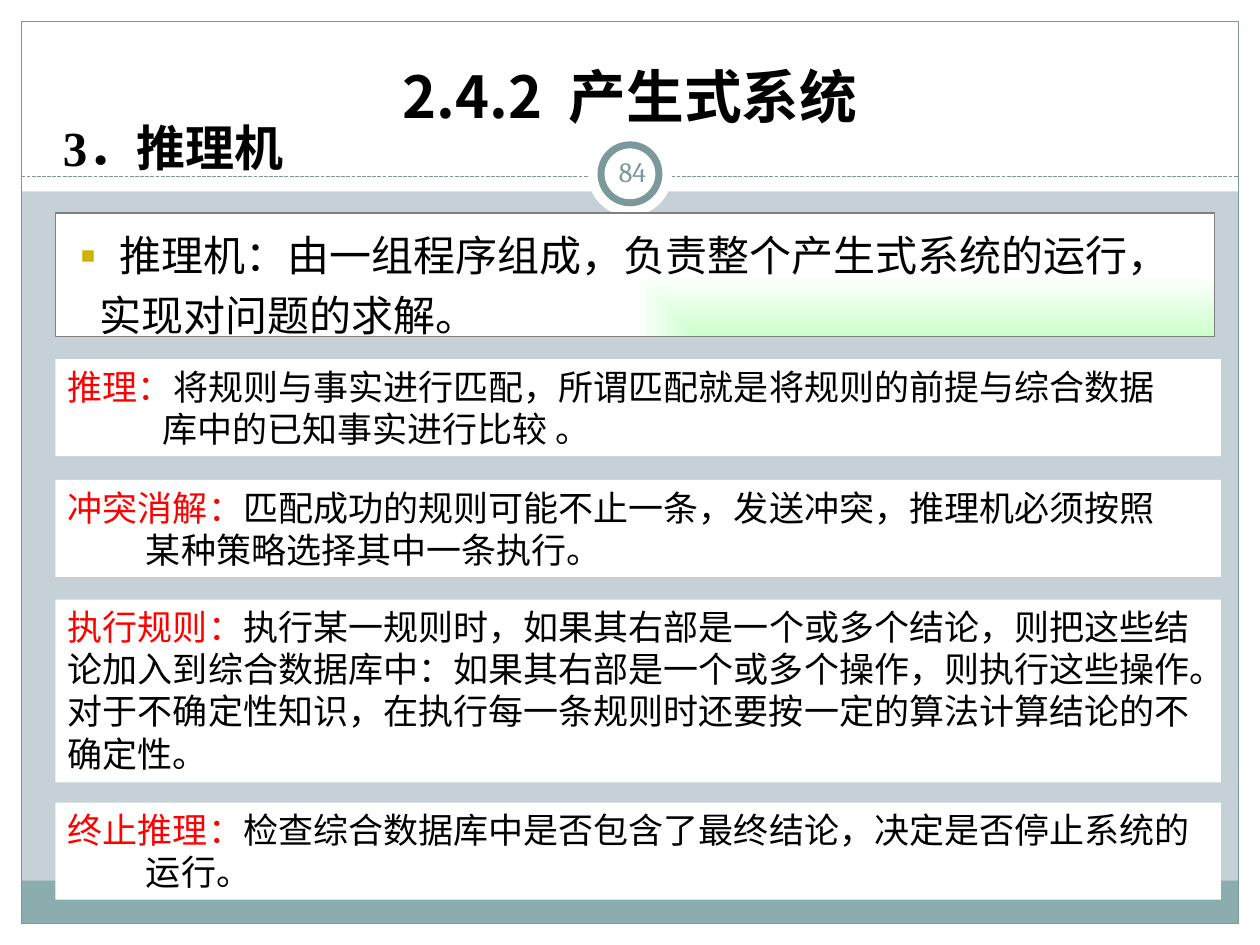
from lxml import etree
from pptx import Presentation
from pptx import util as u
from pptx.dml.color import RGBColor
from pptx.enum import dml, shapes, text
from pptx.oxml import ns

BLACK = RGBColor(0x00, 0x00, 0x00)
WHITE = RGBColor(0xFF, 0xFF, 0xFF)
RED = RGBColor(0xFF, 0x00, 0x00)
GRAY = RGBColor(0x80, 0x80, 0x80)
TEAL = RGBColor(0x7C, 0x99, 0x9A)
FOOTER_TEAL = RGBColor(0x8C, 0xAD, 0xAE)
PALE_BLUE = RGBColor(0xC5, 0xD1, 0xD7)
PALE_GREEN = RGBColor(0xCC, 0xFF, 0xCC)
SANS = "Noto Sans CJK SC"
SERIF = "Times New Roman"
RECTANGLE = shapes.MSO_SHAPE.RECTANGLE
OVAL = shapes.MSO_SHAPE.OVAL


def add_xml(parent, tag, **attributes):
    return etree.SubElement(parent, ns.qn(tag), attributes)


def add_box(slide, box, kind=RECTANGLE, fill=None, line=None, width=0.75):
    shape = slide.shapes.add_shape(kind, *map(u.Inches, box))
    shape.shadow.inherit = False
    if fill is None:
        shape.fill.background()
    else:
        shape.fill.solid()
        shape.fill.fore_color.rgb = fill
    if line is None:
        shape.line.fill.background()
    else:
        shape.line.color.rgb = line
        shape.line.width = u.Pt(width)
    shape.text_frame.vertical_anchor = text.MSO_ANCHOR.TOP
    return shape


def add_run(paragraph, words, size, font, color=BLACK, bold=False):
    run = paragraph.add_run()
    run.text = words
    run.font.size = u.Pt(size)
    run.font.bold = bold
    run.font.color.rgb = color
    run.font.name = font
    add_xml(run.font._element, "a:ea", typeface=SANS)


def set_indent(paragraph, left, first=0):
    properties = paragraph._p.get_or_add_pPr()
    properties.set("marL", str(u.Inches(left)))
    properties.set("indent", str(u.Inches(first)))
    return properties


def add_label(slide, box, words, size, font, color=BLACK, bold=False,
              align=text.PP_ALIGN.CENTER, anchor=text.MSO_ANCHOR.MIDDLE):
    label = slide.shapes.add_textbox(*map(u.Inches, box))
    frame = label.text_frame
    frame.word_wrap = True
    frame.vertical_anchor = anchor
    frame.paragraphs[0].alignment = align
    add_run(frame.paragraphs[0], words, size, font, color, bold)
    return frame


def add_frame(slide, box):
    """White margins, footer band and thin outline around the slide."""
    left, top, width, height = box
    margin = 0.17
    right, bottom = left + width - margin, top + height - margin
    inner = width - 2 * margin
    add_box(slide, (left, bottom, width, margin), fill=WHITE)
    add_box(slide, (left, top, width, 1.52), fill=WHITE)
    for edge in (left, right):
        add_box(slide, (edge, top, margin, height), fill=WHITE)
    add_box(slide, (left + margin, bottom - 0.34, inner, 0.34), fill=FOOTER_TEAL)
    add_box(slide, (left + margin, top + margin, inner, height - 2 * margin), line=TEAL)


def add_header(slide, box):
    """Title, section heading, dashed rule and page number ring."""
    left, top, width, height = box
    rule = top + height
    middle = left + width / 2
    connector = slide.shapes.add_connector(
        shapes.MSO_CONNECTOR.STRAIGHT,
        *map(u.Inches, (left, rule, left + width, rule)))
    connector.line.color.rgb = TEAL
    connector.line.width = u.Pt(0.75)
    connector.line.dash_style = dml.MSO_LINE.SQUARE_DOT
    add_xml(connector._element.spPr, "a:effectLst")

    # Page number ring
    for size, line in ((0.67, None), (0.46, TEAL)):
        ring = (middle - size / 2, rule - 0.02 - size / 2, size, size)
        add_box(slide, ring, OVAL, WHITE, line, 4)
    add_label(slide, (left + 0.16, top + 0.08, width - 0.32, 0.83), "2.4.2  产生式系统",
              33, SANS, bold=True, anchor=text.MSO_ANCHOR.BOTTOM)
    number = add_label(slide, (middle - 0.23, rule - 0.28, 0.5, 0.48), "84",
                       16, "Cambria", TEAL)
    number.margin_left = number.margin_right = u.Inches(0.05)

    # Section heading
    heading = add_label(slide, (left + 0.23, top + 0.67, 2.08, 0.58), "3．推理机",
                        28, SERIF, bold=True, align=text.PP_ALIGN.LEFT,
                        anchor=text.MSO_ANCHOR.TOP)
    heading.word_wrap = False
    heading.auto_size = text.MSO_AUTO_SIZE.SHAPE_TO_FIT_TEXT
    heading.paragraphs[0].line_spacing = 1.1
    set_indent(heading.paragraphs[0], 0.38, -0.38)


def add_definition(slide, box, words):
    """Outlined box with a corner gradient and one bulleted paragraph."""
    shape = add_box(slide, box, line=GRAY)
    shape.fill.gradient()
    for stop, color in zip(shape.fill.gradient_stops, (PALE_GREEN, WHITE)):
        stop.color.rgb = color
    gradient = shape._element.spPr.find(ns.qn("a:gradFill"))
    gradient.remove(gradient.find(ns.qn("a:lin")))
    corner = add_xml(gradient, "a:path", path="rect")
    add_xml(corner, "a:fillToRect", l="100000", t="100000")

    paragraph = shape.text_frame.paragraphs[0]
    paragraph.alignment = text.PP_ALIGN.LEFT
    paragraph.line_spacing = 1.2
    properties = set_indent(paragraph, 0.25, -0.25)
    add_xml(add_xml(properties, "a:buClr"), "a:srgbClr", val="CCB400")
    add_xml(properties, "a:buFont", typeface=SANS)
    add_xml(properties, "a:buChar", char="▪")
    add_run(paragraph, words, 24, SANS)


def add_step(slide, box, term, words, continuation=None, indent=0.0):
    """White box: red term, explanation and an optional indented second line."""
    frame = add_box(slide, box, fill=WHITE).text_frame
    frame.auto_size = text.MSO_AUTO_SIZE.SHAPE_TO_FIT_TEXT
    paragraph = frame.paragraphs[0]
    paragraph.alignment = text.PP_ALIGN.LEFT
    add_run(paragraph, term, 20, SANS, RED)
    add_run(paragraph, words, 20, SERIF)
    if continuation:
        paragraph = frame.add_paragraph()
        paragraph.alignment = text.PP_ALIGN.LEFT
        set_indent(paragraph, indent)
        add_run(paragraph, continuation, 20, SERIF)


STEPS = [
    (2.85, 0.77, "推理：", "将规则与事实进行匹配，所谓匹配就是将规则的前提与综合数据",
     "库中的已知事实进行比较 。", 0.75),
    (3.81, 0.77, "冲突消解：", "匹配成功的规则可能不止一条，发送冲突，推理机必须按照",
     "某种策略选择其中一条执行。", 0.62),
    (4.76, 1.45, "执行规则：",
     "执行某一规则时，如果其右部是一个或多个结论，则把这些结论加入到综合数据库中："
     "如果其右部是一个或多个操作，则执行这些操作。对于不确定性知识，"
     "在执行每一条规则时还要按一定的算法计算结论的不确定性。"),
    (6.37, 0.77, "终止推理：", "检查综合数据库中是否包含了最终结论，决定是否停止系统的",
     "运行。", 0.62),
]


def main():
    presentation = Presentation()
    presentation.slide_width = u.Inches(10)
    presentation.slide_height = u.Inches(7.5)
    slide = presentation.slides.add_slide(presentation.slide_layouts[6])
    slide.background.fill.solid()
    slide.background.fill.fore_color.rgb = PALE_BLUE

    add_frame(slide, (0, 0, 10, 7.5))
    add_header(slide, (0.17, 0.17, 9.66, 1.23))
    add_definition(slide, (0.44, 1.69, 9.2, 0.98),
                   " 推理机：由一组程序组成，负责整个产生式系统的运行，实现对问题的求解。")
    for top, height, *content in STEPS:
        add_step(slide, (0.44, top, 9.25, height), *content)
    presentation.save("out.pptx")


if __name__ == "__main__":
    main()
